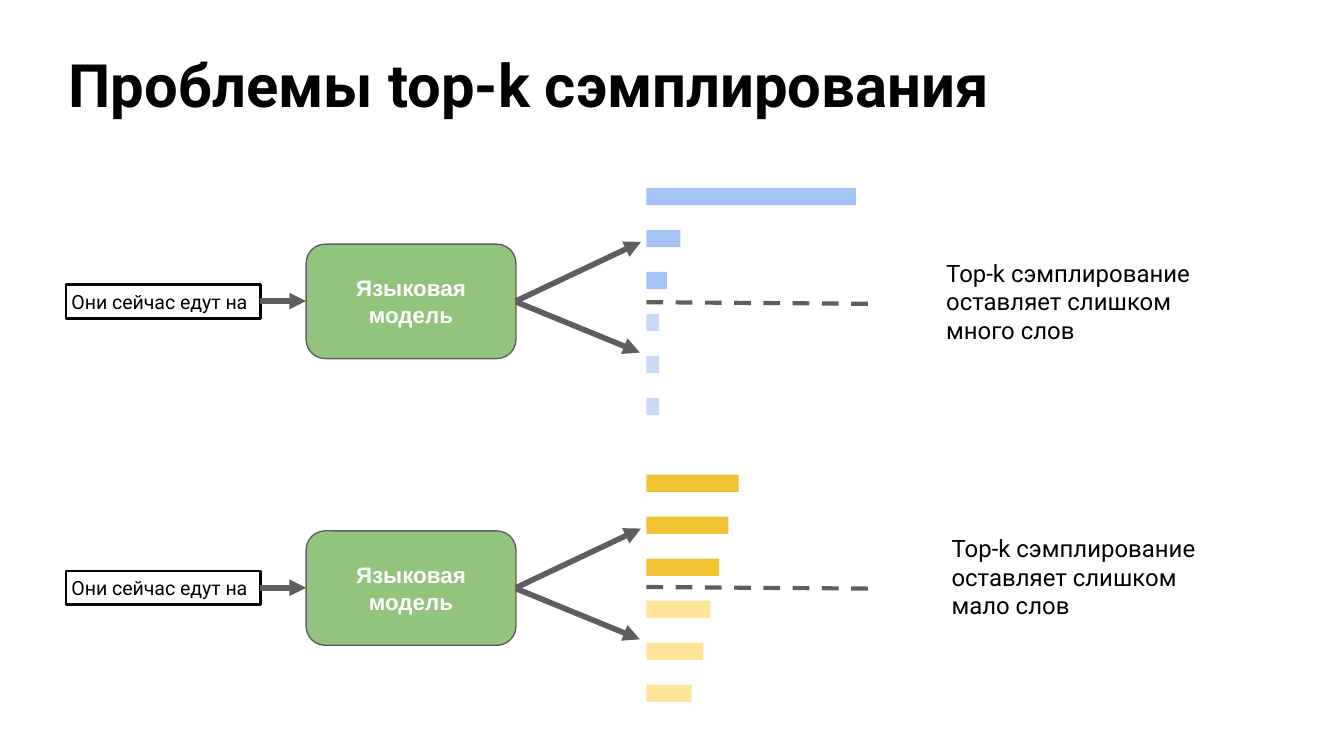
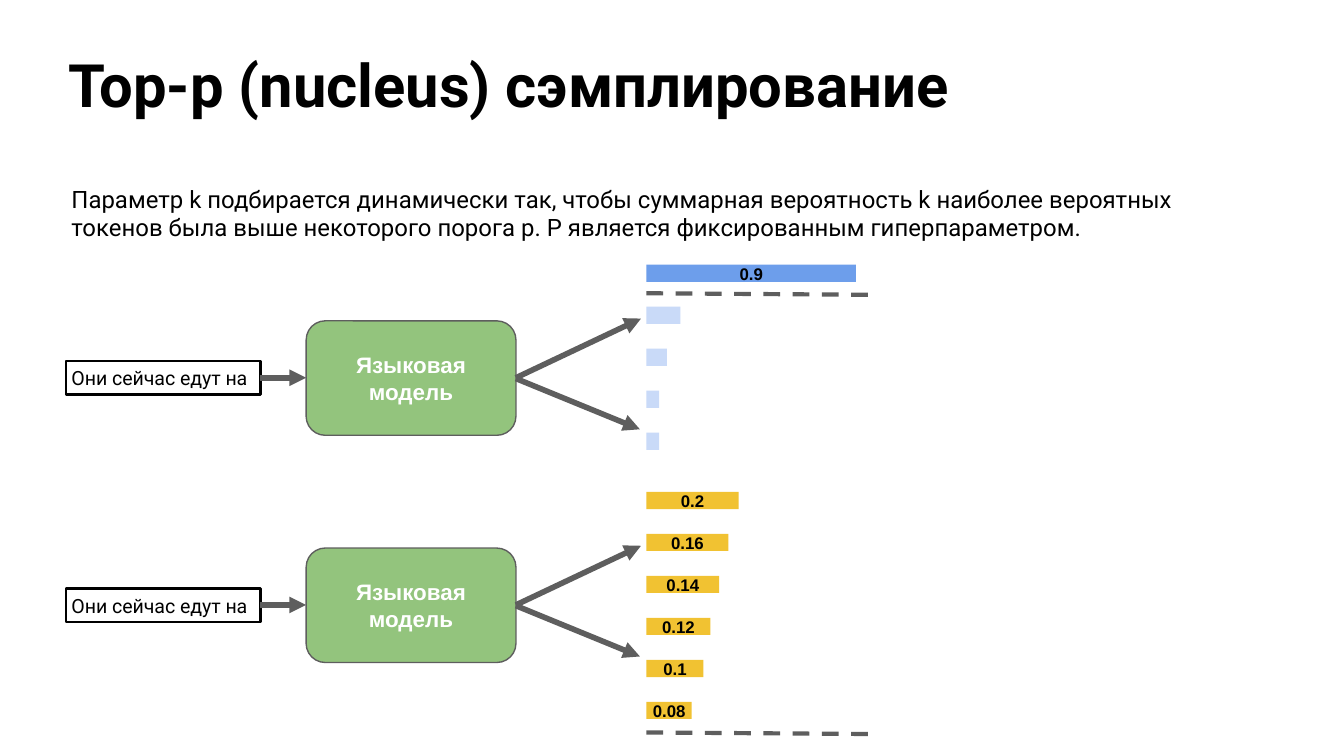
"""Build two slides on top-k and top-p sampling."""
from pptx import Presentation
from pptx.dml.color import RGBColor
from pptx.enum.dml import MSO_LINE
from pptx.enum.shapes import MSO_CONNECTOR, MSO_SHAPE
from pptx.enum.text import MSO_ANCHOR, MSO_AUTO_SIZE, PP_ALIGN
from pptx.oxml.ns import qn
from pptx.util import Pt
from lxml.etree import SubElement

BLACK, WHITE, GREY, GREEN = "000000", "FFFFFF", "5E5E5E", "93C47D"
BLUE, SKY, PALE = "6D9EEB", "A4C2F4", "C9DAF8"
GOLD, CREAM = "F1C232", "FFE599"
LEFT, BAR_X, STEP = 35.4, 346.3, 22.5
PEAK = [112.3, 18.2, 10.9, 6.8, 6.8, 6.8]
FLAT = [49.4, 43.9, 39, 34.2, 30.6, 24.3]


def tint(text):
    return RGBColor.from_string(text)


def write(shape, text, size=12.8, font="Roboto", color=BLACK, bold=False,
          align=PP_ALIGN.LEFT, anchor=MSO_ANCHOR.TOP, inset=2.9, space=None,
          fit=MSO_AUTO_SIZE.NONE):
    frame = shape.text_frame
    frame.word_wrap = True
    frame.auto_size = fit
    frame.vertical_anchor = anchor
    frame.margin_left = frame.margin_right = Pt(inset)
    frame.margin_top = frame.margin_bottom = Pt(inset)
    para = frame.paragraphs[0]
    para.alignment = align
    if space:
        para.line_spacing = space
    run = para.add_run()
    run.text = text
    run.font.size, run.font.name, run.font.bold = Pt(size), font, bold
    run.font.color.rgb = tint(color)


def place(shape, x, y, w, h):
    shape.left, shape.top, shape.width, shape.height = Pt(x), Pt(y), Pt(w), Pt(h)


def start(deck, title):
    slide = deck.slides.add_slide(deck.slide_layouts[5])
    head = slide.shapes.title
    place(head, LEFT, 31.7, 648.7, 42.5)
    write(head, title, size=32, bold=True, inset=1.4, space=0.8)
    return slide


def note(slide, text, x, y, w, h):
    box = slide.shapes.add_textbox(Pt(x), Pt(y), Pt(w), Pt(h))
    write(box, text, fit=MSO_AUTO_SIZE.SHAPE_TO_FIT_TEXT)


def block(slide, x, y, w, h, fill=None, edge=None, width=1, kind=MSO_SHAPE.RECTANGLE):
    shape = slide.shapes.add_shape(kind, Pt(x), Pt(y), Pt(w), Pt(h))
    shape.shadow.inherit = False
    if fill:
        shape.fill.solid()
        shape.fill.fore_color.rgb = tint(fill)
    else:
        shape.fill.background()
    if edge:
        shape.line.color.rgb = tint(edge)
        shape.line.width = Pt(width)
    else:
        shape.line.fill.background()
    return shape


def link(slide, x1, y1, x2, y2, width=3):
    line = slide.shapes.add_connector(
        MSO_CONNECTOR.STRAIGHT, Pt(x1), Pt(y1), Pt(x2), Pt(y2))
    line.line.color.rgb = tint(GREY)
    line.line.width = Pt(width)
    SubElement(line._element.spPr, qn("a:effectLst"))
    return line


def arrow(slide, x1, y1, x2, y2):
    line = link(slide, x1, y1, x2, y2)
    SubElement(line.line._get_or_add_ln(), qn("a:tailEnd"), type="triangle")


def cutoff(slide, y):
    line = link(slide, BAR_X, y, 471.6, y + 0.9, width=2.25)
    line.line.dash_style = MSO_LINE.DASH


def model(slide, top):
    box = block(slide, LEFT, top + 51.6, 104, 18.2, edge=BLACK, width=1.5)
    write(box, "Они сейчас едут на", size=10.5,
          fit=MSO_AUTO_SIZE.SHAPE_TO_FIT_TEXT)
    core = block(slide, 164, top + 30.1, 112.4, 61.3, fill=GREEN, edge=GREY,
                 width=0.75, kind=MSO_SHAPE.ROUNDED_RECTANGLE)
    write(core, "Языковая модель", size=12, font="Arial", color=WHITE, bold=True,
          align=PP_ALIGN.CENTER, anchor=MSO_ANCHOR.MIDDLE)
    arrow(slide, 139.5, top + 60.6, 164, top + 60.6)
    arrow(slide, 276.4, top + 60.6, 343.4, top + 28.9)
    arrow(slide, 276.4, top + 61, 342.8, top + 88.2)


def bars(slide, top, sizes, keep, strong, weak, labels=()):
    for i, size in enumerate(sizes):
        bar = block(slide, BAR_X, top + i * STEP, size, 9.2,
                    fill=strong if i < keep else weak)
        if i < len(labels):
            write(bar, labels[i], size=9, font="Arial", bold=True,
                  align=PP_ALIGN.CENTER, anchor=MSO_ANCHOR.MIDDLE)


def main():
    deck = Presentation()
    deck.slide_width, deck.slide_height = Pt(720), Pt(405)

    slide = start(deck, "Проблемы top-k сэмплирования")
    for top, sizes, strong, weak, line in (
            (100.7, PEAK, SKY, PALE, 161.9), (254.3, FLAT, GOLD, CREAM, 314.5)):
        model(slide, top)
        bars(slide, top, sizes, 3, strong, weak)
        cutoff(slide, line)
    for word, x, y in (("много", 504, 135.4), ("мало", 506.9, 283)):
        note(slide, f"Top-k сэмплирование оставляет слишком {word} слов",
             x, y, 144, 51.8)

    slide = start(deck, "Top-p (nucleus) сэмплирование")
    note(slide, "Параметр k подбирается динамически так, чтобы суммарная "
         "вероятность k наиболее вероятных токенов была выше некоторого порога p. "
         "P является фиксированным гиперпараметром.", LEFT, 95.8, 607.7, 36)
    for top, sizes, labels, strong, line in (
            (141.8, PEAK[:5], ["0.9"], BLUE, 157.1),
            (263.5, FLAT, ["0.2", "0.16", "0.14", "0.12", "0.1", "0.08"],
             GOLD, 392.4)):
        model(slide, top)
        bars(slide, top, sizes, len(labels), strong, PALE, labels)
        cutoff(slide, line)
    deck.save("out.pptx")


if __name__ == "__main__":
    main()
